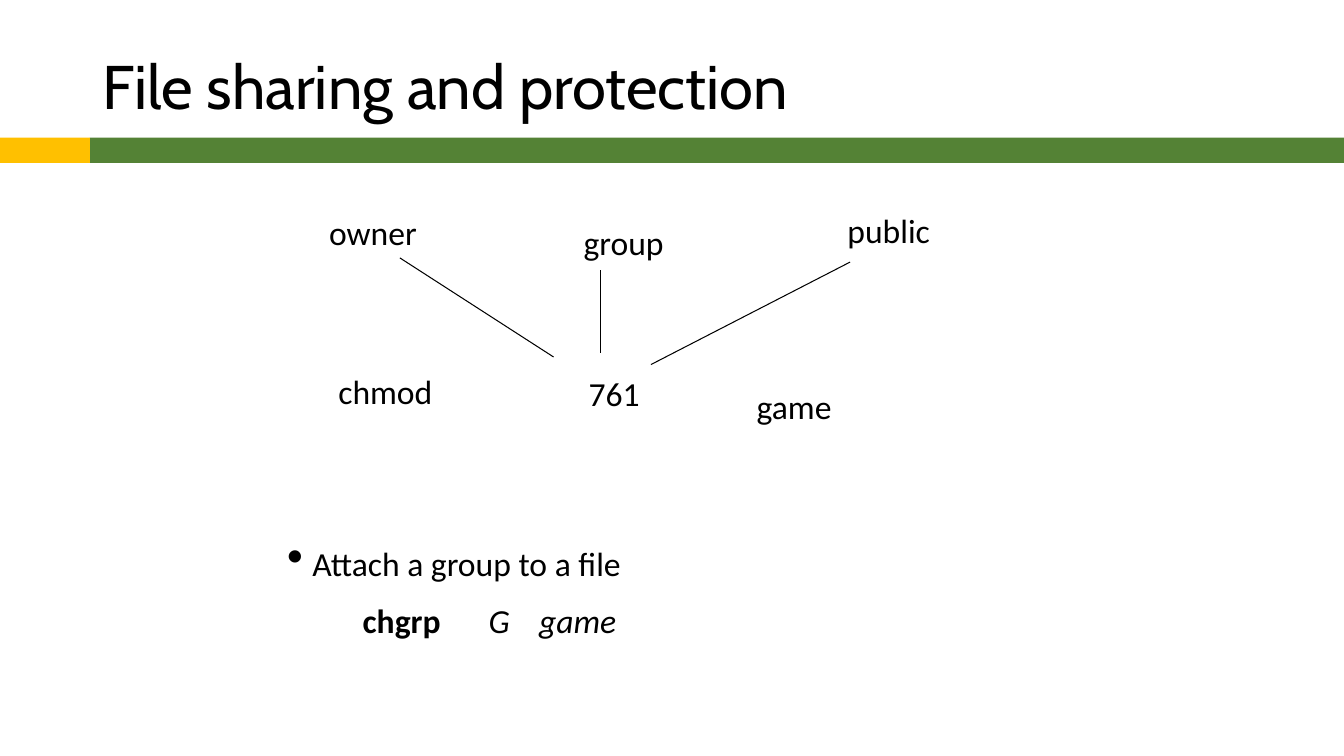
from dataclasses import dataclass

from lxml import etree
from pptx import Presentation
from pptx import util as u
from pptx.dml.color import RGBColor
from pptx.enum import shapes, text
from pptx.oxml.ns import qn

COLORS = {"ink": "000000", "green": "548235", "gold": "FFC000"}
COLUMNS, ROWS = 160, 90  # square grid cells across and down the slide
WIDTH, HEIGHT = u.Inches(13.333), u.Inches(7.5)


@dataclass
class Area:
    left: float
    top: float
    width: float
    height: float


@dataclass
class Label:
    words: str
    area: Area


@dataclass
class Link:
    start: tuple[float, float]
    end: tuple[float, float]


@dataclass
class Bar:
    color: str
    area: Area


def across(columns: float) -> int:
    return round(WIDTH * columns / COLUMNS)


def down(rows: float) -> int:
    return round(HEIGHT * rows / ROWS)


def place(area: Area) -> tuple[int, int, int, int]:
    return across(area.left), down(area.top), across(area.width), down(area.height)


def paint(name: str) -> RGBColor:
    return RGBColor.from_string(COLORS[name])


def add_span(para, words: str, *, font="Calibri", size=24, bold=False, italic=False):
    span = para.add_run()
    span.text = words
    span.font.name, span.font.size = font, u.Pt(size)
    span.font.bold, span.font.italic = bold, italic
    span.font.color.rgb = paint("ink")


def add_box(page, area: Area, *, wrap=True, fit=False, anchor=text.MSO_ANCHOR.MIDDLE):
    frame = page.shapes.add_textbox(*place(area)).text_frame
    frame.word_wrap = wrap
    frame.vertical_anchor = anchor
    frame.auto_size = (text.MSO_AUTO_SIZE.SHAPE_TO_FIT_TEXT if fit
                       else text.MSO_AUTO_SIZE.NONE)
    return frame


def add_bar(page, bar: Bar) -> None:
    shape = page.shapes.add_shape(shapes.MSO_SHAPE.RECTANGLE, *place(bar.area))
    shape.shadow.inherit = False
    shape.fill.solid()
    shape.fill.fore_color.rgb = paint(bar.color)
    shape.line.fill.background()


def add_link(page, link: Link) -> None:
    (x1, y1), (x2, y2) = link.start, link.end
    line = page.shapes.add_connector(shapes.MSO_CONNECTOR.STRAIGHT,
                                     across(x1), down(y1), across(x2), down(y2))
    line.line.color.rgb = paint("ink")
    line.line.width = u.Pt(0.75)
    etree.SubElement(line._element.spPr, qn("a:effectLst"))


def set_indent(para, margin: float, first: float):
    props = para._p.get_or_add_pPr()
    props.set("marL", str(u.Inches(margin)))
    props.set("indent", str(u.Inches(first)))
    return props


BARS = [
    Bar("green", Area(10.7, 16.4, 149.3, 3)),
    Bar("gold", Area(0, 16.4, 10.7, 3)),
]
LABELS = [
    Label("owner", Area(38, 24.6, 13, 6)),
    Label("group", Area(68.3, 25.8, 12, 6)),
    Label("public", Area(99.7, 24.4, 12.4, 6)),
    Label("chmod", Area(39.1, 43.6, 13.7, 6)),
    Label("761", Area(68.9, 43.8, 8.5, 6)),
    Label("game", Area(88.9, 45.4, 11.4, 6)),
]
LINKS = [
    Link((47.6, 30.7), (65.9, 42.5)),
    Link((71.5, 32.2), (71.5, 42)),
    Link((101.2, 31.2), (77.5, 43.4)),
]


def main() -> None:
    deck = Presentation()
    deck.slide_width, deck.slide_height = WIDTH, HEIGHT
    page = deck.slides.add_slide(deck.slide_layouts[6])

    # Title and the band under it
    for bar in BARS:
        add_bar(page, bar)
    title = add_box(page, Area(11, 4.8, 138, 11.6)).paragraphs[0]
    title.line_spacing = 0.9
    add_span(title, "File sharing and protection", font="Cabin", size=44)

    # Permission diagram
    for label in LABELS:
        box = add_box(page, label.area, wrap=False, fit=True)
        add_span(box.paragraphs[0], label.words)
    for link in LINKS:
        add_link(page, link)

    # Bullet
    box = add_box(page, Area(33, 64, 89.5, 18.1), fit=True, anchor=text.MSO_ANCHOR.TOP)
    para = box.paragraphs[0]
    props = set_indent(para, 0.25, -0.25)
    etree.SubElement(props, qn("a:buSzPct"), val="140000")
    etree.SubElement(props, qn("a:buChar"), char="•")
    add_span(para, "Attach a group to a file")

    # Command, its arguments set on tab stops
    para = box.add_paragraph()
    props = set_indent(para, 0, 0.75)
    etree.SubElement(props, qn("a:buNone"))
    stops = etree.SubElement(props, qn("a:tabLst"))
    for stop in (1.91, 2.41):
        etree.SubElement(stops, qn("a:tab"), pos=str(u.Inches(stop)), algn="l")
    para.space_before = u.Pt(12)
    add_span(para, "chgrp\t", bold=True)
    add_span(para, "G\tgame", italic=True)

    deck.save("out.pptx")


if __name__ == "__main__":
    main()
